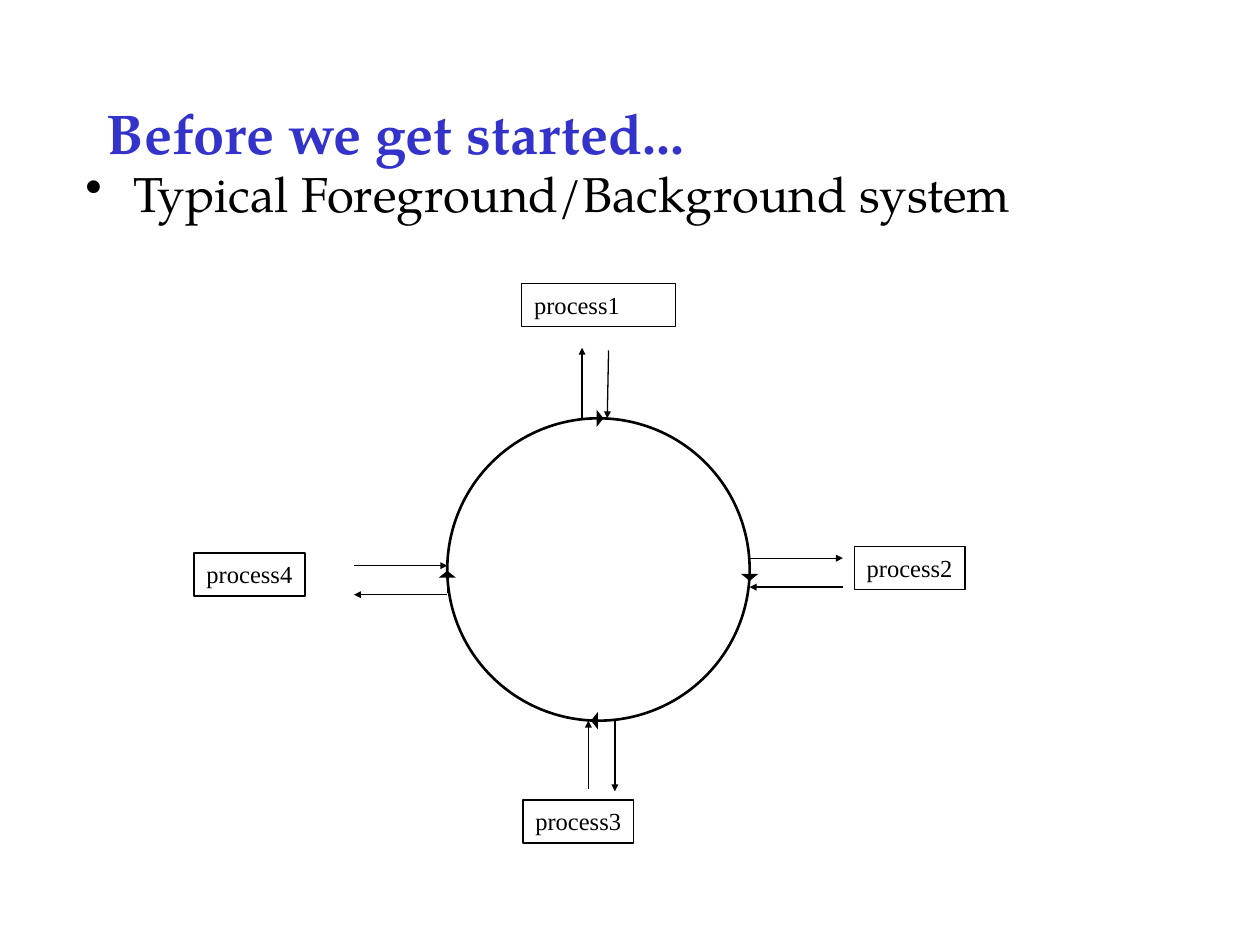
from typing import NamedTuple

from lxml import etree
from pptx import Presentation
from pptx.dml.color import RGBColor
from pptx.enum.shapes import MSO_CONNECTOR, MSO_SHAPE
from pptx.enum.text import MSO_ANCHOR, PP_ALIGN
from pptx.oxml.ns import qn
from pptx.util import Inches, Pt

BLACK = RGBColor(0x00, 0x00, 0x00)
BLUE = RGBColor(0x33, 0x33, 0xCC)
SERIF = "TeX Gyre Pagella"
LABEL_FONT = "Times New Roman"
RECT, OVAL = MSO_SHAPE.RECTANGLE, MSO_SHAPE.OVAL
STRAIGHT = MSO_CONNECTOR.STRAIGHT
LEFT, TOP, MIDDLE = PP_ALIGN.LEFT, MSO_ANCHOR.TOP, MSO_ANCHOR.MIDDLE


class Process(NamedTuple):
    name: str
    x: float
    y: float
    width: float = 0.88
    wrap: bool = False


class Arrow(NamedTuple):
    x1: float
    y1: float
    x2: float
    y2: float
    head_width: str = "sm"


PROCESSES = [
    Process("process1", 4.14, 2.25, 1.22, True),
    Process("process2", 6.78, 4.34),
    Process("process3", 4.15, 6.35),
    Process("process4", 1.54, 4.39),
]
RING_LEFT, RING_TOP, RING_SIZE = 3.55, 3.32, 2.4
RING_RIGHT, RING_BOTTOM = RING_LEFT + RING_SIZE, RING_TOP + RING_SIZE

RING_ARROWS = [
    Arrow(RING_RIGHT, 4.43, RING_RIGHT, 4.61, "lg"),
    Arrow(4.87, RING_BOTTOM, 4.69, RING_BOTTOM, "lg"),
    Arrow(RING_LEFT, 4.71, RING_LEFT, 4.53, "lg"),
    Arrow(4.6, RING_TOP, 4.79, RING_TOP, "lg"),
]
PROCESS_ARROWS = [
    Arrow(4.62, RING_TOP, 4.62, 2.76),
    Arrow(4.83, 2.78, 4.82, RING_TOP),
    Arrow(4.67, 6.26, 4.67, RING_BOTTOM),
    Arrow(4.88, RING_BOTTOM, 4.88, 6.28),
    Arrow(RING_RIGHT, 4.43, 6.69, 4.43),
    Arrow(6.69, 4.66, RING_RIGHT, 4.66),
    Arrow(2.81, 4.49, RING_LEFT, 4.49),
    Arrow(RING_LEFT, 4.72, 2.81, 4.72),
]


def write(sp, text: str, size: float, font: str, color: RGBColor,
          bold: bool = False, anchor=TOP, wrap: bool = True):
    tf = sp.text_frame
    tf.word_wrap = wrap
    tf.vertical_anchor = anchor
    p = tf.paragraphs[0]
    p.alignment = LEFT
    r = p.add_run()
    r.text = text
    r.font.size = Pt(size)
    r.font.name = font
    r.font.bold = bold
    r.font.color.rgb = color
    return p


def add_bullet(p, indent: float) -> None:
    pPr = p._p.get_or_add_pPr()
    pPr.set("marL", str(Inches(indent)))
    pPr.set("indent", str(-Inches(indent)))
    etree.SubElement(pPr, qn("a:buChar")).set("char", "•")


def add_outline(s, kind, x: float, y: float, w: float, h: float, weight: float):
    sp = s.shapes.add_shape(kind, Inches(x), Inches(y), Inches(w), Inches(h))
    sp.shadow.inherit = False
    sp.fill.background()
    sp.line.color.rgb = BLACK
    sp.line.width = Pt(weight)
    return sp


def add_process(s, process: Process) -> None:
    sp = add_outline(s, RECT, process.x, process.y, process.width, 0.34, 0.75)
    write(sp, process.name, 14, LABEL_FONT, BLACK, wrap=process.wrap)


def add_arrow(s, arrow: Arrow) -> None:
    ends = [Inches(v) for v in arrow[:4]]
    line = s.shapes.add_connector(STRAIGHT, *ends)
    line.line.color.rgb = BLACK
    line.line.width = Pt(0.75)
    head = etree.SubElement(line.line._get_or_add_ln(), qn("a:tailEnd"))
    head.set("type", "triangle")
    head.set("w", arrow.head_width)
    head.set("len", "sm")
    etree.SubElement(line._element.spPr, qn("a:effectLst"))


def main() -> None:
    prs = Presentation()
    prs.slide_width, prs.slide_height = Inches(10), Inches(7.5)
    s = prs.slides.add_slide(prs.slide_layouts[6])

    title = s.shapes.add_textbox(Inches(0.75), Inches(0.67), Inches(8.5), Inches(0.75))
    write(title, "Before we get started...", 32, SERIF, BLUE, bold=True, anchor=MIDDLE)
    body = s.shapes.add_textbox(Inches(0.58), Inches(1.25), Inches(8.5), Inches(0.67))
    p = write(body, "Typical Foreground/Background system", 28, SERIF, BLACK)
    add_bullet(p, 0.38)

    add_outline(s, OVAL, RING_LEFT, RING_TOP, RING_SIZE, RING_SIZE, 1.5)
    for process in PROCESSES:
        add_process(s, process)
    for arrow in RING_ARROWS + PROCESS_ARROWS:
        add_arrow(s, arrow)

    prs.save("out.pptx")


if __name__ == "__main__":
    main()
